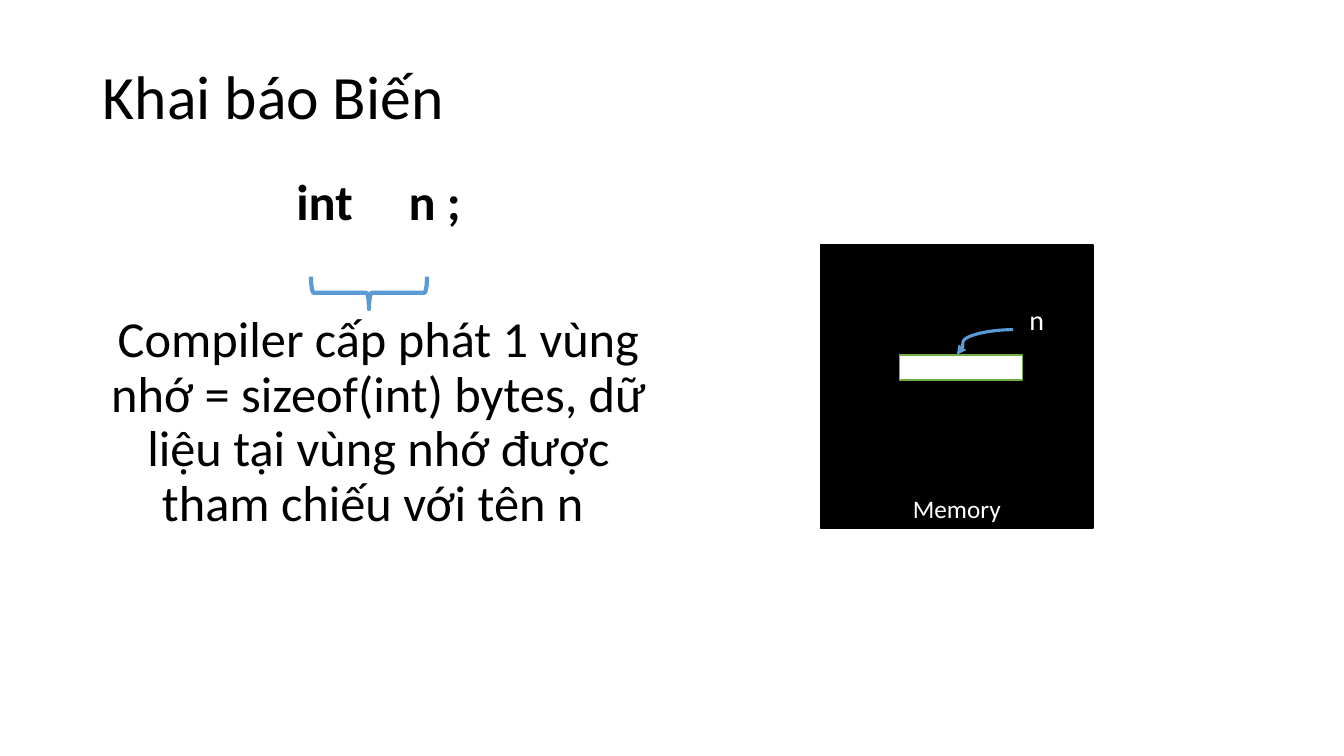
from pptx import Presentation
from pptx.util import Inches, Pt
from pptx.dml.color import RGBColor as Rgb
from pptx.enum.shapes import MSO_SHAPE as Shape, MSO_CONNECTOR as Link
from pptx.enum.text import PP_ALIGN as Align, MSO_ANCHOR as Anchor, MSO_AUTO_SIZE as Fit
from pptx.oxml.ns import qn
from lxml.etree import SubElement as Sub

INK = {"black": "000000", "white": "FFFFFF", "green": "70AD47", "blue": "5B9BD5"}


def color(name):
    return Rgb.from_string(INK[name])


def apply(item, values):
    for key, value in values.items():
        setattr(item, key, value)


def write(para, text, size, ink="black", bold=False, **form):
    apply(para, form)
    run = para.add_run()
    run.text = text
    apply(run.font, {"name": "Calibri", "size": Pt(size), "bold": bold})
    run.font.color.rgb = color(ink)


def place(item, box):
    apply(item, dict(zip(("left", "top", "width", "height"), map(Inches, box))))


def add_title(slide, box, text):
    title = slide.shapes.title
    place(title, box)
    title.text_frame.vertical_anchor = Anchor.MIDDLE
    write(title.text_frame.paragraphs[0], text, 44, alignment=Align.LEFT, line_spacing=0.9)


def add_text(shapes, box):
    frame = shapes.add_textbox(*map(Inches, box)).text_frame
    frame.word_wrap = True
    return frame


def add_shape(shapes, kind, box, fill, line, width):
    shape = shapes.add_shape(kind, *map(Inches, box))
    shape.shadow.inherit = False
    if fill:
        shape.fill.solid()
        shape.fill.fore_color.rgb = color(fill)
    else:
        shape.fill.background()
    shape.line.color.rgb = color(line)
    shape.line.width = Pt(width)
    return shape


def add_arrow(shapes, start, end, bend):
    arrow = shapes.add_connector(Link.CURVE, *map(Inches, start + end))
    arrow.line.color.rgb = color("blue")
    arrow.line.width = Pt(2.25)
    Sub(arrow.line._get_or_add_ln(), qn("a:tailEnd"), type="triangle")
    props = arrow._element.spPr
    Sub(props, qn("a:effectLst"))
    guides = props.find(qn("a:prstGeom")).get_or_add_avLst()
    Sub(guides, qn("a:gd"), name="adj1", fmla=f"val {bend}")


def add_body(slide):
    frame = add_text(slide.shapes, (0.92, 1.71, 5.67, 5.24))
    form = {"alignment": Align.CENTER, "line_spacing": 0.9}
    write(frame.paragraphs[0], "int\t n ;", 36, bold=True, **form)
    write(frame.add_paragraph(),
          "Compiler cấp phát 1 vùng nhớ = sizeof(int) bytes, "
          "dữ liệu tại vùng nhớ được tham chiếu với tên n ",
          36, space_before=Pt(59), **form)


def add_memory(slide):
    shapes = slide.shapes.add_group_shape().shapes
    block = add_shape(shapes, Shape.RECTANGLE, (8.14, 2.43, 2.7, 2.81), "black", "black", 1)
    block.text_frame.vertical_anchor = Anchor.BOTTOM
    write(block.text_frame.paragraphs[0], "Memory", 18, "white", alignment=Align.CENTER)
    add_shape(shapes, Shape.RECTANGLE, (8.92, 3.52, 1.22, 0.25), "white", "green", 1)
    label = add_text(shapes, (10.11, 2.95, 0.52, 0.44))
    label.auto_size = Fit.SHAPE_TO_FIT_TEXT
    write(label.paragraphs[0], "n", 20, "white")
    add_arrow(shapes, (10.05, 3.27), (9.49, 3.52), 89300)


def main():
    deck = Presentation()
    apply(deck, {"slide_width": Inches(13.33), "slide_height": Inches(7.5)})
    slide = deck.slides.add_slide(deck.slide_layouts[5])
    add_title(slide, (0.92, 0.26, 11.5, 1.45), "Khai báo Biến")
    add_body(slide)
    add_memory(slide)
    brace = add_shape(slide.shapes, Shape.LEFT_BRACE, (3.5, 2.33, 0.32, 1.15), None, "blue", 3)
    brace.rotation = 270
    deck.save("out.pptx")


if __name__ == "__main__":
    main()
